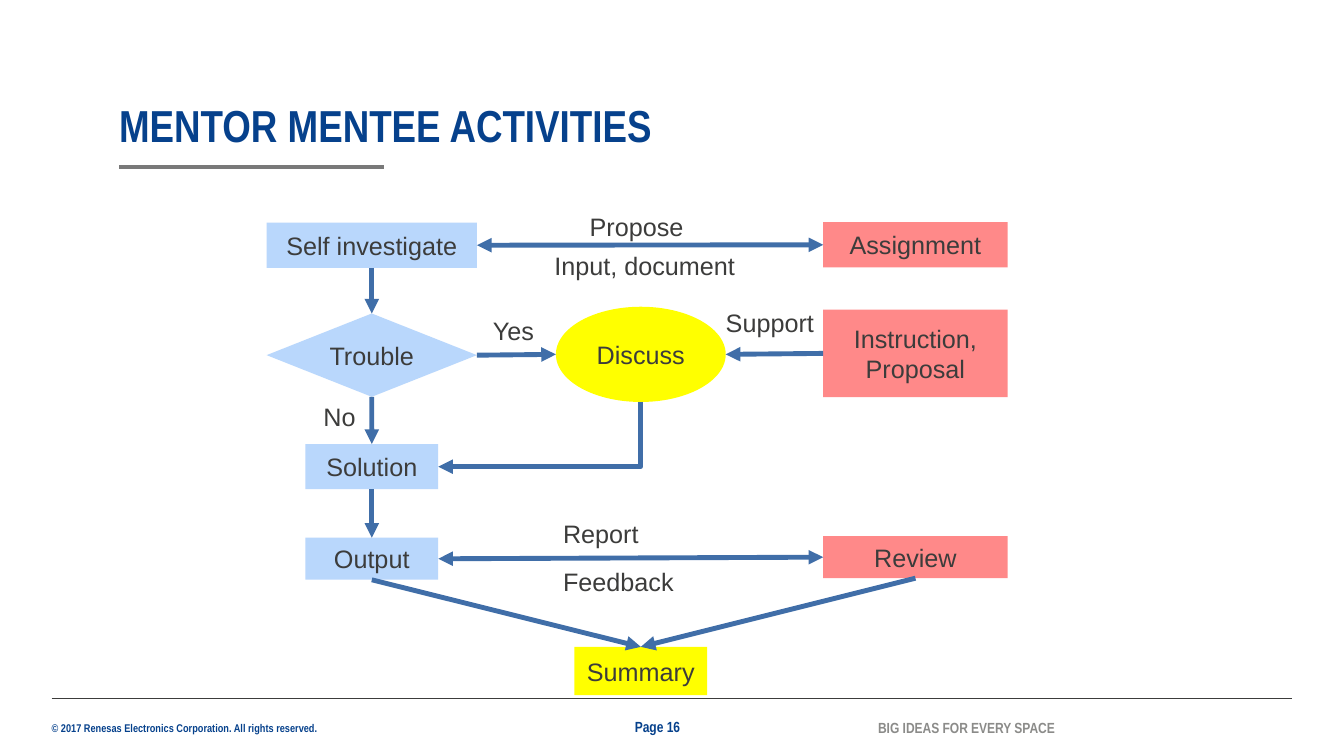
from lxml import etree
from pptx import Presentation
from pptx import util as u
from pptx.dml.color import RGBColor
from pptx.enum import shapes, text
from pptx.oxml.ns import qn

Cm = u.Cm
COLORS = {"navy": "06418C", "ink": "3C3C3B", "rule": "797979", "tagline": "8B8B89",
          "mentee": "B9D7FC", "mentor": "FF8989", "shared": "FFFF00", "arrow": "406EA8"}
KINDS = shapes.MSO_SHAPE
MIDDLE, TOP, BOTTOM = text.MSO_ANCHOR.MIDDLE, text.MSO_ANCHOR.TOP, text.MSO_ANCHOR.BOTTOM

presentation = Presentation()
presentation.slide_width, presentation.slide_height = Cm(33.87), Cm(19.05)
slide = presentation.slides.add_slide(presentation.slide_layouts[6])


def write(shape, words, frame_format, paragraph_format, size=18, font="Arial",
          color="ink", bold=False):
    for name, value in frame_format.items():
        setattr(shape.text_frame, name, value)
    paragraph = shape.text_frame.paragraphs[0]
    paragraph.text = words
    for name, value in paragraph_format.items():
        setattr(paragraph, name, value)
    font_format = {"size": u.Pt(size), "name": font, "bold": bold}
    for name, value in font_format.items():
        setattr(paragraph.runs[0].font, name, value)
    paragraph.runs[0].font.color.rgb = RGBColor.from_string(COLORS[color])


def draw_line(kind, begin, end, color, width, heads=()):
    line = slide.shapes.add_connector(kind, *begin, *end)
    line.line.color.rgb = RGBColor.from_string(COLORS[color])
    line.line.width = u.Pt(width)
    properties = line._element.spPr
    for head in heads:
        etree.SubElement(properties.find(qn("a:ln")), qn(head), type="triangle")
    etree.SubElement(properties, qn("a:effectLst"))
    return line


# Rules above the footer and below the title
STRAIGHT = shapes.MSO_CONNECTOR.STRAIGHT
for left, right, top, color, width in [(1.3, 32.56, 17.6, "ink", 0.5),
                                       (3, 9.68, 4.2, "rule", 3)]:
    draw_line(STRAIGHT, (Cm(left), Cm(top)), (Cm(right), Cm(top)), color, width)

# Title and footer
no_margins = dict.fromkeys(
    ["margin_left", "margin_right", "margin_top", "margin_bottom"], 0)
fit = {"auto_size": text.MSO_AUTO_SIZE.SHAPE_TO_FIT_TEXT, "word_wrap": True}
for words, box, size, color, anchor, wrap, spacing in [
    ("MENTOR MENTEE ACTIVITIES", (3, 2.61, 23.67, 1.22), 32, "navy", BOTTOM, True, 0.9),
    ("© 2017 Renesas Electronics Corporation. All rights reserved.",
     (1.3, 18.17, 6.81, 0.33), 8, "navy", TOP, False, 1),
    ("Page 16", (16, 18.08, 1.85, 0.46), 10.5, "navy", MIDDLE, True, 1),
    ("BIG IDEAS FOR EVERY SPACE", (22.13, 18.11, 4.57, 0.46), 10.5, "tagline",
     MIDDLE, True, 1),
]:
    shape = slide.shapes.add_textbox(*map(Cm, box))
    write(shape, words, {**fit, **no_margins, "vertical_anchor": anchor, "word_wrap": wrap},
          {"line_spacing": spacing}, size, "Arial Narrow", color, True)

# Flowchart nodes: columns are centred, one per role
CENTERS = {"mentee": 9.37, "shared": 16.15, "mentor": 23.07}
nodes = {}
for words, role, kind, top, width, height in [
    ("Self investigate", "mentee", KINDS.RECTANGLE, 5.61, 5.3, 1.14),
    ("Trouble", "mentee", KINDS.DIAMOND, 7.9, 5.3, 2.1),
    ("Solution", "mentee", KINDS.RECTANGLE, 11.19, 3.35, 1.14),
    ("Output", "mentee", KINDS.RECTANGLE, 13.55, 3.35, 1.06),
    ("Discuss", "shared", KINDS.OVAL, 7.73, 4.28, 2.4),
    ("Summary", "shared", KINDS.RECTANGLE, 16.3, 3.35, 1.22),
    ("Assignment", "mentor", KINDS.RECTANGLE, 5.6, 4.65, 1.14),
    ("Instruction, Proposal", "mentor", KINDS.RECTANGLE, 7.8, 4.65, 2.21),
    ("Review", "mentor", KINDS.RECTANGLE, 13.51, 4.65, 1.06),
]:
    shape = slide.shapes.add_shape(
        kind, Cm(CENTERS[role] - width / 2), Cm(top), Cm(width), Cm(height))
    shape.shadow.inherit = False
    shape.fill.solid()
    shape.fill.fore_color.rgb = RGBColor.from_string(COLORS[role])
    shape.line.fill.background()
    write(shape, words, {"vertical_anchor": MIDDLE, "word_wrap": True},
          {"alignment": text.PP_ALIGN.CENTER})
    nodes[words] = shape

# Arrows glued to the node sides; an oval has twice as many connection sites
SIDES = {"top": (0.5, 0), "left": (0, 0.5), "bottom": (0.5, 1), "right": (1, 0.5)}
ONE_WAY, TWO_WAY = ["a:tailEnd"], ["a:headEnd", "a:tailEnd"]
for source, source_side, target, target_side, heads in [
    ("Self investigate", "bottom", "Trouble", "top", ONE_WAY),
    ("Trouble", "bottom", "Solution", "top", ONE_WAY),
    ("Solution", "bottom", "Output", "top", ONE_WAY),
    ("Output", "bottom", "Summary", "top", ONE_WAY),
    ("Review", "bottom", "Summary", "top", ONE_WAY),
    ("Trouble", "right", "Discuss", "left", ONE_WAY),
    ("Instruction, Proposal", "left", "Discuss", "right", ONE_WAY),
    ("Discuss", "bottom", "Solution", "right", ONE_WAY),
    ("Assignment", "left", "Self investigate", "right", TWO_WAY),
    ("Review", "left", "Output", "right", TWO_WAY),
]:
    ends, glue = [], []
    for tag, name, side in [("a:stCxn", source, source_side),
                            ("a:endCxn", target, target_side)]:
        node, (across, down) = nodes[name], SIDES[side]
        ends.append((int(node.left + across * node.width),
                     int(node.top + down * node.height)))
        site = list(SIDES).index(side) * (2 if node.auto_shape_type == KINDS.OVAL else 1)
        glue.append((tag, {"id": str(node.shape_id), "idx": str(site)}))
    bent = (source, target) == ("Discuss", "Solution")
    kind = STRAIGHT
    if bent:
        # A quarter turn swaps width and height around the same centre
        kind = shapes.MSO_CONNECTOR.ELBOW
        (x1, y1), (x2, y2) = ends
        width, height = y2 - y1, x1 - x2
        left, top = (x1 + x2 - width) // 2, (y1 + y2 - height) // 2
        ends = [(left, top), (left + width, top + height)]
    arrow = draw_line(kind, *ends, "arrow", 3.5, heads)
    if bent:
        arrow._element.spPr.find(qn("a:xfrm")).set("rot", "5400000")
        arrow._element.spPr.find(qn("a:prstGeom")).set("prst", "bentConnector2")
    for tag, attributes in glue:
        etree.SubElement(arrow._element.nvCxnSpPr.cNvCxnSpPr, qn(tag), attributes)

# Arrow labels
for words, left, top, width in [
    ("Propose", 14.61, 5.19, 4.13), ("Input, document", 13.72, 6.18, 5.31),
    ("Yes", 12.17, 7.82, 1.83), ("Support", 18.04, 7.62, 2.97),
    ("No", 7.9, 10, 1.57),
    ("Report", 13.94, 12.94, 2.72), ("Feedback", 13.94, 14.15, 3.4),
]:
    shape = slide.shapes.add_textbox(Cm(left), Cm(top), Cm(width), Cm(1.03))
    write(shape, words, fit, {})

presentation.save("out.pptx")
